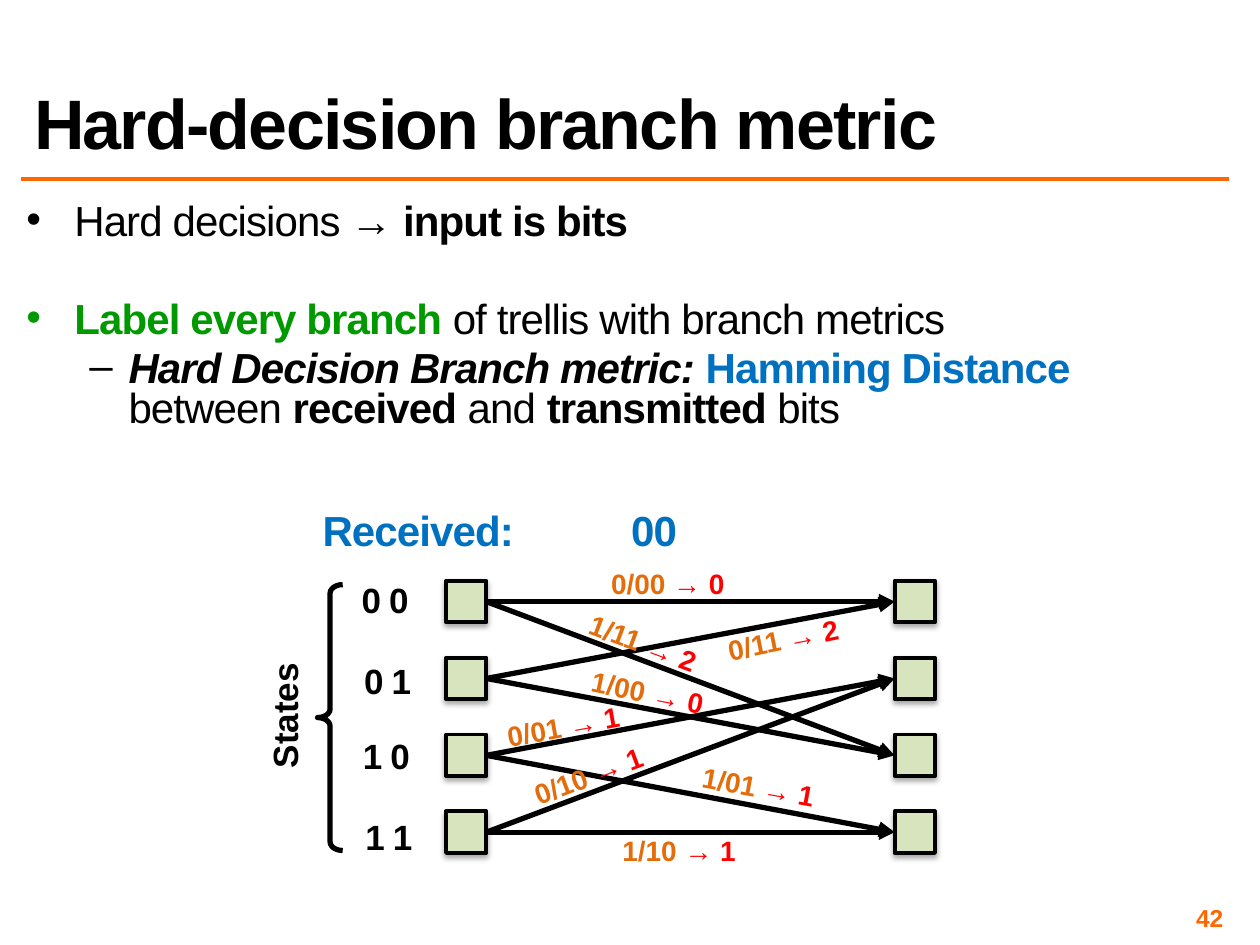
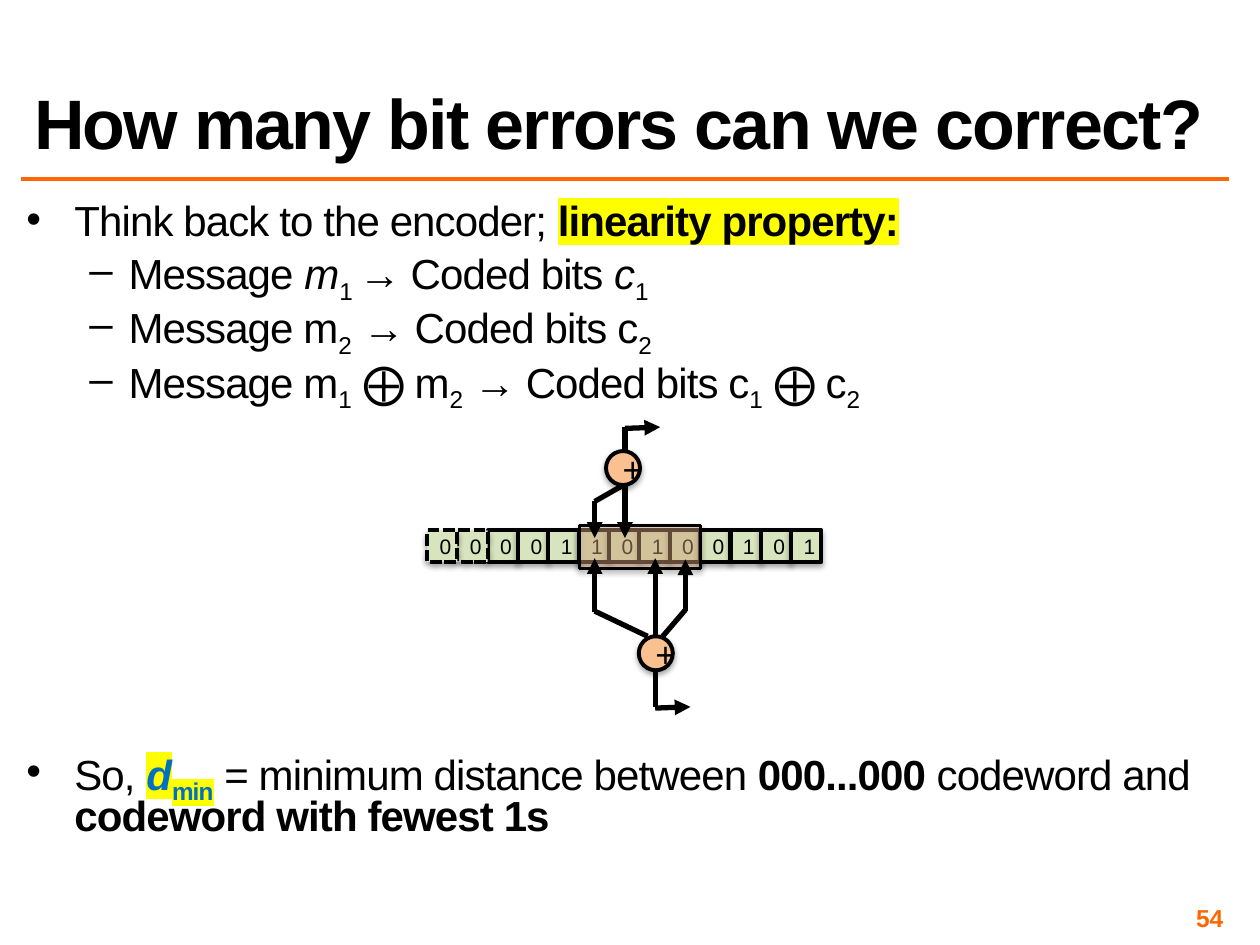
"""Build two slides on convolutional codes: branch metrics and error correction."""
from typing import NamedTuple

from lxml import etree
from pptx import Presentation
from pptx import util as u
from pptx.dml.color import RGBColor
from pptx.enum import dml, shapes, text
from pptx.oxml.ns import qn

FONT = "Arial"
BLACK, ORANGE, GREEN, BLUE, RED = "000000", "FF6600", "009900", "0070C0", "FF0000"
BRANCH, CELL, PEACH, YELLOW = "E46C0A", "D7E4BD", "FAC090", "FFFF00"
ALIGN, ANCHOR = text.PP_ALIGN, text.MSO_ANCHOR
SHAPE = shapes.MSO_SHAPE
INSET = 0.04
BODY_GAP = 4.8


class Run(NamedTuple):
    text: str
    color: str | None = None
    bold: bool | None = None
    italic: bool | None = None
    sub: bool = False
    highlight: str | None = None


class Para(NamedTuple):
    runs: list[Run]
    level: int = 0
    before: float = BODY_GAP


class BranchLabel(NamedTuple):
    bits: str
    metric: int
    left: float
    top: float
    width: float
    rotation: float = 0


class StateLabel(NamedTuple):
    name: str
    left: float
    top: float


class Wire(NamedTuple):
    x1: float
    y1: float
    x2: float
    y2: float
    arrow: bool = False


def rgb(value: str) -> RGBColor:
    return RGBColor.from_string(value)


def box(*lengths: float) -> list[u.Length]:
    return [u.Inches(v) for v in lengths]


def style_para(p, size: float, color: str = BLACK, bold: bool = False,
               align=ALIGN.LEFT, spacing: float = 0) -> None:
    f = p.font
    f.name, f.size, f.bold = FONT, u.Pt(size), bold
    f.color.rgb = rgb(color)
    p.alignment = align
    if spacing:
        f._element.set("spc", str(round(spacing * 100)))


def add_run(p, run: Run) -> None:
    r = p.add_run()
    r.text = run.text
    r.font.bold, r.font.italic = run.bold, run.italic
    if run.color:
        r.font.color.rgb = rgb(run.color)
    rPr = r.font._element
    if run.sub:
        rPr.set("baseline", "-25000")
    if run.highlight:
        mark = etree.SubElement(rPr, qn("a:highlight"))
        etree.SubElement(mark, qn("a:srgbClr"), val=run.highlight)


def set_insets(tf, inset: float) -> None:
    tf.margin_left = tf.margin_right = tf.margin_top = tf.margin_bottom = u.Inches(inset)


def add_text(s, place: tuple, runs: list[Run], size: float, color: str = BLACK,
             align=ALIGN.LEFT, inset: float | None = INSET, spacing: float = 0,
             rotation: float = 0, wrap: bool = True, anchor=ANCHOR.TOP) -> None:
    sp = s.shapes.add_textbox(*box(*place))
    sp.rotation = rotation
    tf = sp.text_frame
    tf.word_wrap, tf.vertical_anchor = wrap, anchor
    if inset is not None:
        set_insets(tf, inset)
    p = tf.paragraphs[0]
    style_para(p, size, color, True, align, spacing)
    for run in runs:
        add_run(p, run)


def add_block(s, kind, place: tuple, fill: str, label: str = "", size: float = 12,
              line: float = 2.25, dashed: bool = False, opacity: int = 100):
    sp = s.shapes.add_shape(kind, *box(*place))
    sp.fill.solid()
    sp.fill.fore_color.rgb = rgb(fill)
    sp.line.color.rgb = rgb(BLACK)
    sp.line.width = u.Pt(line)
    if dashed:
        sp.line.dash_style = dml.MSO_LINE.SQUARE_DOT
    spPr = sp._element.spPr
    if opacity < 100:
        etree.SubElement(spPr.find(qn("a:solidFill"))[0], qn("a:alpha"),
                         val=str(opacity * 1000))
    effects = etree.SubElement(spPr, qn("a:effectLst"))
    shadow = etree.SubElement(effects, qn("a:outerShdw"), blurRad="40000",
                              dist="23000", dir="5400000", rotWithShape="0")
    tint = etree.SubElement(shadow, qn("a:srgbClr"), val=BLACK)
    etree.SubElement(tint, qn("a:alpha"), val="35000")
    if label:
        p = sp.text_frame.paragraphs[0]
        style_para(p, size, align=ALIGN.CENTER)
        add_run(p, Run(label))
    return sp


def add_wire(s, wire: Wire, color: str = BLACK, width: float = 3):
    c = s.shapes.add_connector(shapes.MSO_CONNECTOR.STRAIGHT, *box(*wire[:4]))
    c.line.color.rgb = rgb(color)
    c.line.width = u.Pt(width)
    if wire.arrow:
        etree.SubElement(c.line._get_or_add_ln(), qn("a:tailEnd"), type="triangle")
    etree.SubElement(c._element.spPr, qn("a:effectLst"))
    return c


def place_placeholder(sp, place: tuple) -> None:
    sp.left, sp.top, sp.width, sp.height = box(*place)
    sp.text_frame.auto_size = text.MSO_AUTO_SIZE.NONE


def add_slide(prs, title: str, number: int, body_height: float, paras: list[Para]):
    s = prs.slides.add_slide(prs.slide_layouts[1])
    add_wire(s, Wire(0.17, 1.42, 9.75, 1.42), ORANGE, 2)
    heading, body = s.placeholders
    place_placeholder(heading, (0.17, 0.17, 9.58, 1.17))
    heading.text_frame.vertical_anchor = ANCHOR.BOTTOM
    p = heading.text_frame.paragraphs[0]
    style_para(p, 40, bold=True, spacing=-1)
    p.line_spacing = 0.8
    add_run(p, Run(title))

    place_placeholder(body, (0.17, 1.58, 9.58, body_height))
    tf = body.text_frame
    set_insets(tf, INSET)
    for i, para in enumerate(paras):
        p = tf.add_paragraph() if i else tf.paragraphs[0]
        p.level = para.level
        style_para(p, 24, spacing=-0.5)
        p.line_spacing, p.space_before = 0.8, u.Pt(para.before)
        margin, indent = ((0.38, -0.38), (0.81, -0.31))[para.level]
        p._p.pPr.set("marL", str(u.Inches(margin)))
        p._p.pPr.set("indent", str(u.Inches(indent)))
        for run in para.runs:
            add_run(p, run)
    add_text(s, (7.42, 7.17, 2.33, 0.23), [Run(str(number))], 14, ORANGE,
             ALIGN.RIGHT, anchor=ANCHOR.MIDDLE)
    return s


def build_branch_metric(prs) -> None:
    s = add_slide(prs, "Hard-decision branch metric", 42, 2.31, [
        Para([Run("Hard decisions → "), Run("input is bits", bold=True)]),
        Para([Run("Label every branch ", GREEN, True),
              Run("of trellis with branch metrics")], before=33),
        Para([Run("Hard Decision Branch metric: ", bold=True, italic=True),
              Run("Hamming Distance", BLUE, True), Run(" between "),
              Run("received ", bold=True), Run("and "),
              Run("transmitted", bold=True), Run(" bits")], level=1),
    ])
    for word, left, width in (("Received:", 2.52, 2), ("00", 4.97, 1)):
        add_text(s, (left, 3.96, width, 0.58), [Run(word)], 24, BLUE, spacing=-0.5)
    for state in (StateLabel("0 0", 2.83, 4.55), StateLabel("0 1", 2.85, 5.19),
                  StateLabel("1 0", 2.84, 5.79), StateLabel("1 1", 2.86, 6.43)):
        add_text(s, (state.left, state.top, 0.59, 0.58), [Run(state.name)], 20, spacing=-0.5)

    brace = s.shapes.add_shape(SHAPE.LEFT_BRACE, *box(2.52, 4.64, 0.2, 2.11))
    brace.adjustments[0] = 0.34
    brace.fill.background()
    brace.line.color.rgb = rgb(BLACK)
    brace.line.width = u.Pt(3)
    brace.shadow.inherit = False
    add_text(s, (1.74, 5.46, 1.04, 0.44), [Run("States")], 20, align=ALIGN.CENTER,
             inset=None, rotation=270, wrap=False)

    before, after = ([add_block(s, SHAPE.RECTANGLE, (left, 4.61 + 0.61 * i, 0.32, 0.33), CELL)
                      for i in range(4)] for left in (3.54, 7.1))
    left_site, right_site = 1, 3
    for i, start in enumerate(before):
        for end in (after[i // 2], after[i // 2 + 2]):
            c = add_wire(s, Wire(3.86, 4.78, 7.1, 4.78, True))
            c.begin_connect(start, right_site)
            c.end_connect(end, left_site)

    for b in (BranchLabel("0/00", 0, 4.61, 4.45, 1.38),
              BranchLabel("1/11", 2, 4.54, 4.92, 1.13, 20.5),
              BranchLabel("0/11", 2, 5.64, 4.89, 1.15, 348.6),
              BranchLabel("1/00", 0, 4.51, 5.31, 1.26, 11.3),
              BranchLabel("0/01", 1, 3.85, 5.58, 1.24, 349.6),
              BranchLabel("1/01", 1, 5.45, 6.06, 1.14, 10.3),
              BranchLabel("0/10", 1, 4.03, 5.97, 1.28, 339.3),
              BranchLabel("1/10", 1, 4.84, 6.57, 1.1)):
        add_text(s, (b.left, b.top, b.width, 0.37),
                 [Run(b.bits + " ", BRANCH), Run(f"→ {b.metric}", RED)], 16,
                 align=ALIGN.CENTER, inset=None, rotation=b.rotation)


def build_bit_errors(prs) -> None:
    one, two = Run("1", sub=True), Run("2", sub=True)
    s = add_slide(prs, "How many bit errors can we correct?", 54, 5.48, [
        Para([Run("Think back to the encoder; "),
              Run("linearity property:", bold=True, highlight=YELLOW)]),
        Para([Run("Message "), Run("m", italic=True), Run("1 ", sub=True),
              Run("→ Coded bits "), Run("c", italic=True), one], 1),
        Para([Run("Message m"), two, Run(" → Coded bits c"), two], 1),
        Para([Run("Message m"), one, Run(" ⨁ m"), two,
              Run(" → Coded bits c"), one, Run(" ⨁ c"), two], 1),
        Para([Run("So, "), Run("d", BLUE, True, True, highlight=YELLOW),
              Run("min", BLUE, True, sub=True, highlight=YELLOW),
              Run(" = minimum distance between "), Run("000...000 ", bold=True),
              Run("codeword and "), Run("codeword with fewest 1s", bold=True)], before=198),
    ])
    bits, padding = "0000110100101", 2
    for i in (*range(padding, len(bits)), *reversed(range(padding))):
        left = 3.39 + 2.89 * i / (len(bits) - 1)
        add_block(s, SHAPE.RECTANGLE, (left, 4.21, 0.24, 0.25), CELL, bits[i],
                  dashed=i < padding)
    add_block(s, SHAPE.RECTANGLE, (4.6, 4.17, 0.96, 0.34), PEACH, line=1.5, opacity=39)

    for wire in (Wire(4.72, 4.86, 4.72, 4.43, True), Wire(4.72, 4.85, 5.14, 5.05),
                 Wire(5.2, 5.05, 5.2, 4.43, True), Wire(5.44, 4.85, 5.44, 4.44, True),
                 Wire(5.44, 4.84, 5.26, 5.05), Wire(5.2, 5.33, 5.2, 5.61),
                 Wire(5.2, 5.62, 5.48, 5.61, True), Wire(4.72, 3.98, 4.72, 4.27, True),
                 Wire(4.96, 3.86, 4.96, 4.27, True), Wire(4.72, 3.98, 4.93, 3.86),
                 Wire(4.96, 3.39, 4.96, 3.58), Wire(4.96, 3.4, 5.24, 3.39, True)):
        add_wire(s, wire)
    for left, top in ((5.07, 5.05), (4.81, 3.58)):
        add_block(s, SHAPE.OVAL, (left, top, 0.27, 0.27), PEACH, "+", 20)


def main() -> None:
    prs = Presentation()
    prs.slide_width, prs.slide_height = box(10, 7.5)
    build_branch_metric(prs)
    build_bit_errors(prs)
    prs.save("out.pptx")


if __name__ == "__main__":
    main()
